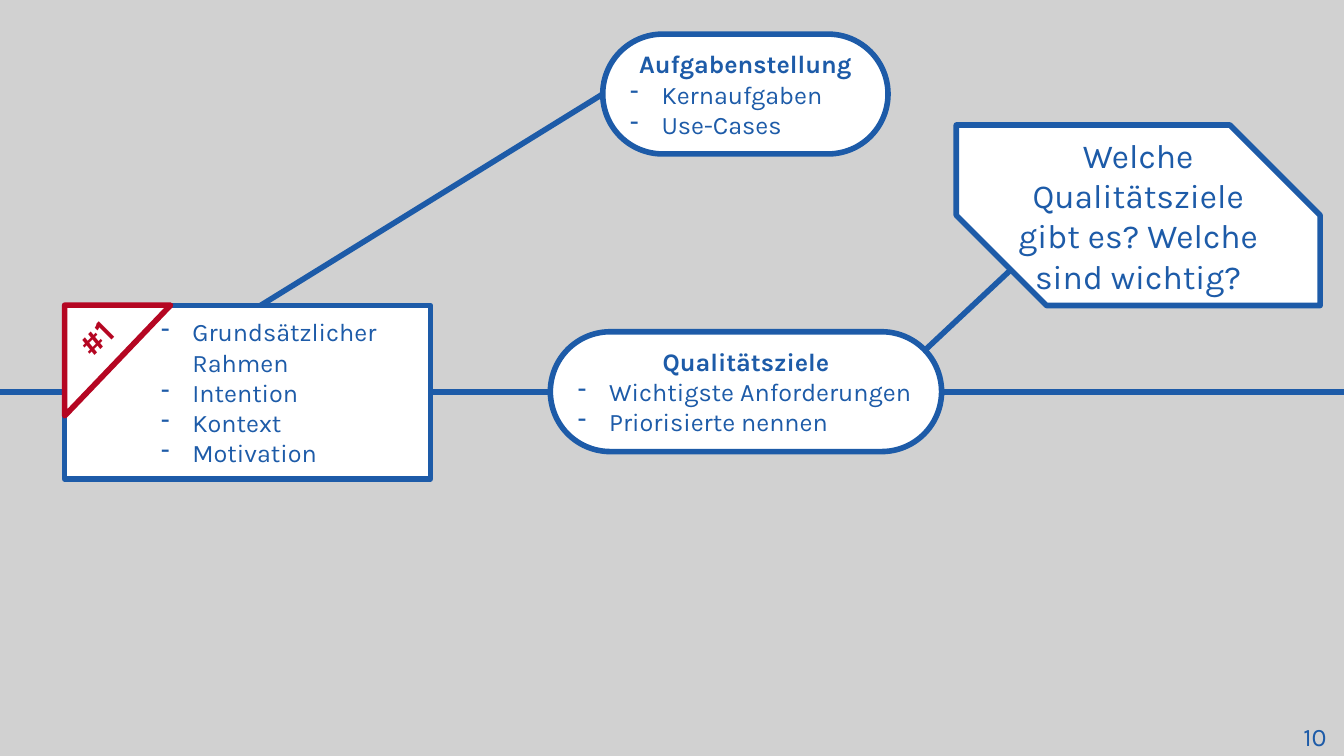
from dataclasses import dataclass
from typing import Optional

from lxml import etree
from pptx import Presentation
from pptx import util as u
from pptx.dml.color import RGBColor
from pptx.enum import shapes, text
from pptx.oxml import ns

BLUE = RGBColor(0x1D, 0x5B, 0xA8)
RED = RGBColor(0xB5, 0x06, 0x22)
WHITE = RGBColor(0xFF, 0xFF, 0xFF)
GREY = RGBColor(0xD1, 0xD1, 0xD1)
FONT = "Karla"
WIDE, HIGH = 33.87, 19.05
HANG = 0.79
KIND = shapes.MSO_SHAPE


@dataclass
class Para:
    words: str
    size: int = 18
    color: RGBColor = BLUE
    bold: bool = False
    indent: Optional[float] = None  # left margin of a dash item, in cm


@dataclass
class Node:
    """A block of text; without a kind it is a plain text box."""
    left: float
    top: float
    width: float
    height: float
    paras: tuple[Para, ...] = ()
    kind: Optional[KIND] = None
    adjust: tuple[float, ...] = ()
    edge: RGBColor = BLUE
    turn: float = 0


def title(words: str) -> Para:
    return Para(words, bold=True)


def items(indent: float, *lines: str) -> tuple[Para, ...]:
    return tuple(Para(line, indent=indent) for line in lines)


def write(frame, paras: tuple[Para, ...]) -> None:
    frame.word_wrap = True
    frame.vertical_anchor = text.MSO_ANCHOR.MIDDLE
    for i, para in enumerate(paras):
        p = frame.add_paragraph() if i else frame.paragraphs[0]
        p.alignment = text.PP_ALIGN.CENTER
        if para.indent is not None:
            p.alignment = text.PP_ALIGN.LEFT
            props = p._p.get_or_add_pPr()
            props.set("marL", str(u.Cm(para.indent)))
            props.set("indent", str(-u.Cm(HANG)))
            etree.SubElement(props, ns.qn("a:buChar")).set("char", "-")
        run = p.add_run()
        run.text = para.words
        run.font.name = FONT
        run.font.size = u.Pt(para.size)
        run.font.bold = para.bold
        run.font.color.rgb = para.color


def draw(slide, node: Node):
    area = [u.Cm(n) for n in (node.left, node.top, node.width, node.height)]
    if node.kind is None:
        shape = slide.shapes.add_textbox(*area)
    else:
        shape = slide.shapes.add_shape(node.kind, *area)
        shape.shadow.inherit = False
        shape.fill.solid()
        shape.fill.fore_color.rgb = WHITE
        shape.line.color.rgb = node.edge
        shape.line.width = u.Pt(4)
        for i, value in enumerate(node.adjust):
            shape.adjustments[i] = value
    shape.rotation = node.turn
    if node.paras:
        write(shape.text_frame, node.paras)
    return shape


def link(slide, x1: float, y1: float, x2: float, y2: float):
    line = slide.shapes.add_connector(
        shapes.MSO_CONNECTOR.STRAIGHT, u.Cm(x1), u.Cm(y1), u.Cm(x2), u.Cm(y2))
    line.line.color.rgb = BLUE
    line.line.width = u.Pt(4)
    etree.SubElement(line._element.spPr, ns.qn("a:effectLst"))
    return line


TASK = Node(15.19, 0.86, 7.19, 3.02,
            (title("Aufgabenstellung"), *items(HANG, "Kernaufgaben", "Use-Cases")),
            KIND.ROUNDED_RECTANGLE, (0.5,))
GOALS = Node(13.87, 8.36, 9.86, 3.02,
             (title("Qualitätsziele"),
              *items(HANG, "Wichtigste Anforderungen", "Priorisierte nennen")),
             KIND.ROUNDED_RECTANGLE, (0.5,))
QUERY = Node(24.1, 3.15, 9.17, 4.55,
             (Para("Welche Qualitätsziele gibt es? Welche sind wichtig?", 24),),
             KIND.SNIP_2_DIAG_RECTANGLE, (0, 0.5))
FRAME = (
    Node(1.63, 7.7, 9.22, 4.37, kind=KIND.RECTANGLE),
    Node(1.57, 7.75, 2.79, 2.67, kind=KIND.RIGHT_TRIANGLE, edge=RED, turn=90),
    Node(0.25, 7.87, 4.32, 1.27, (Para("#1", 24, RED, True),), turn=315),
    Node(2.54, 7.7, 7.42, 4.37,
         items(2.06, "Grundsätzlicher Rahmen", "Intention", "Kontext", "Motivation")),
)
PAGE = Node(32.49, 18.06, 1.3, 1.02, (Para("10"),))


def main() -> None:
    deck = Presentation()
    deck.slide_width, deck.slide_height = u.Cm(WIDE), u.Cm(HIGH)
    slide = deck.slides.add_slide(deck.slide_layouts[6])
    slide.background.fill.solid()
    slide.background.fill.fore_color.rgb = GREY

    task = draw(slide, TASK)
    link(slide, 5.59, 8.3, 15.19, 2.37).end_connect(task, 1)
    link(slide, 22.94, 9.17, 25.76, 6.53)
    draw(slide, QUERY)
    link(slide, 0, 9.88, WIDE, 9.88)
    for node in (*FRAME, GOALS, PAGE):
        draw(slide, node)
    deck.save("out.pptx")


if __name__ == "__main__":
    main()
